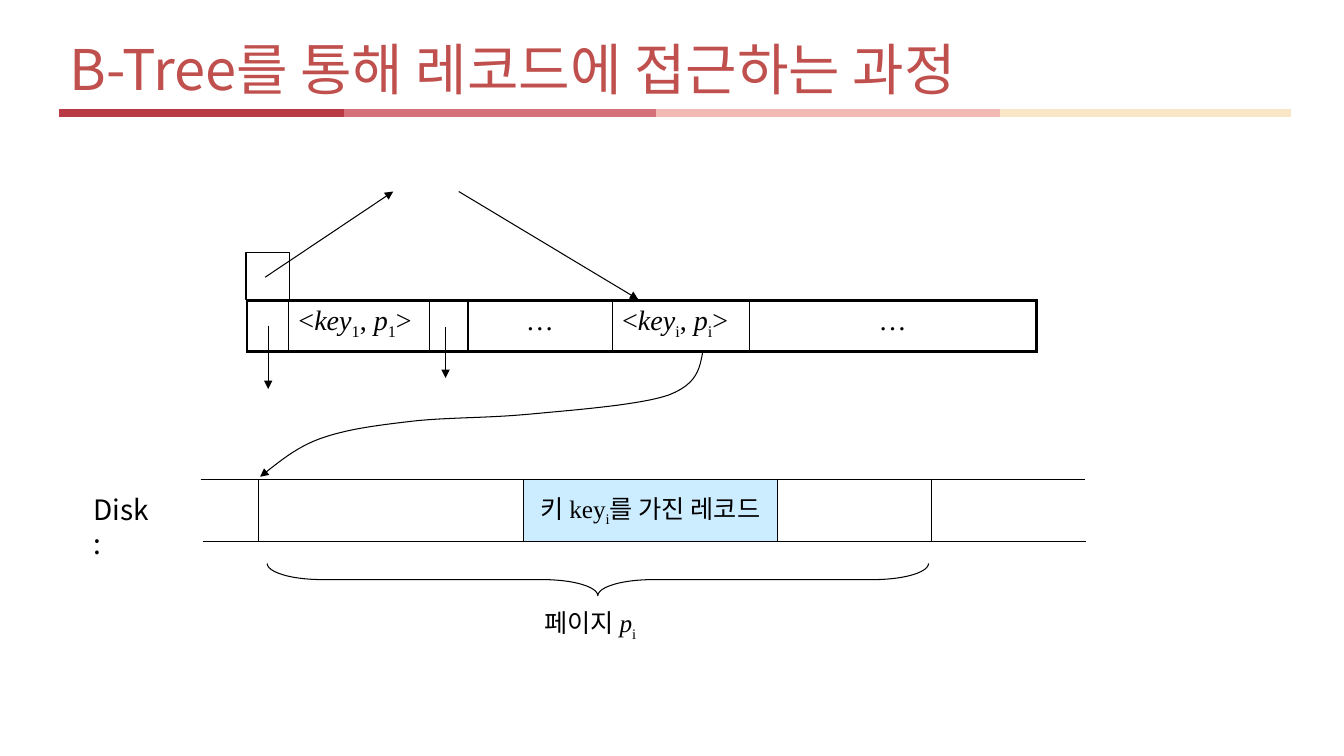
from pptx import Presentation
from pptx.dml.color import RGBColor
from pptx.enum.shapes import MSO_CONNECTOR, MSO_SHAPE
from pptx.enum.text import MSO_ANCHOR, PP_ALIGN
from pptx.oxml.ns import qn
from pptx.util import Inches, Pt
from lxml.etree import SubElement

COLORS = {
    "title": "C0504D", "ink": "000000", "record": "CCECFF",
    "bar1": "B93945", "bar2": "D37079", "bar3": "F2B8B4", "bar4": "F8E6C7",
}
SANS, SERIF = "Noto Sans CJK KR", "Times New Roman"


def write_text(para, size, spans, color="ink"):
    """Each span is (text, font, style); style is '', 'italic' or 'sub'."""
    for text, font_name, style in spans:
        span = para.add_run()
        span.text = text
        font = span.font
        font.size, font.name = Pt(size), font_name
        font.color.rgb = RGBColor.from_string(COLORS[color])
        font.italic = style == "italic"
        properties = span._r.get_or_add_rPr()
        SubElement(properties, qn("a:ea")).set("typeface", font_name)
        if style == "sub":
            properties.set("baseline", "-25000")


def add_line(x1, y1, x2, y2, color="ink", width=0.75, arrow=False):
    line = page.shapes.add_connector(
        MSO_CONNECTOR.STRAIGHT, Inches(x1), Inches(y1), Inches(x2), Inches(y2))
    line.line.color.rgb = RGBColor.from_string(COLORS[color])
    line.line.width = Pt(width)
    if arrow:
        SubElement(line.line._get_or_add_ln(), qn("a:tailEnd")).set("type", "triangle")
    SubElement(line._element.spPr, qn("a:effectLst"))


deck = Presentation()
deck.slide_width, deck.slide_height = Inches(13.33), Inches(7.5)
page = deck.slides.add_slide(deck.slide_layouts[5])

# Title and the coloured bar below it
title = page.shapes.title
title.left, title.top = Inches(0.59), Inches(0.32)
title.width, title.height = Inches(12.17), Inches(0.79)
title.text_frame.vertical_anchor = MSO_ANCHOR.MIDDLE
para = title.text_frame.paragraphs[0]
para.alignment, para.line_spacing = PP_ALIGN.LEFT, 0.9
write_text(para, 40, [("B-Tree를 통해 레코드에 접근하는 과정", SANS, "")], "title")
bar_edges = [0.59, 3.41, 6.51, 9.92, 12.8]
for number, (start, end) in enumerate(zip(bar_edges, bar_edges[1:]), 1):
    add_line(start, 1.12, end, 1.12, f"bar{number}", 6)

# Index node: a one-row table of keys and pointers
cell_spans = [[]] * 6
for column, index in ((1, "1"), (4, "i")):
    cell_spans[column] = [
        ("<", SERIF, ""), ("key", SERIF, "italic"), (index, SERIF, "sub"),
        (", ", SERIF, ""), ("p", SERIF, "italic"), (index, SERIF, "sub"),
        (">", SERIF, "")]
cell_spans[3] = cell_spans[5] = [("…", SERIF, "")]
column_widths = [0.41, 1.4, 0.38, 1.43, 1.36, 2.85]
divider_widths = [2.25, 0.75, 0.75, 2, 0.75, 0.75, 2.25]

node = page.shapes.add_table(
    1, 6, Inches(2.45), Inches(2.98), Inches(7.82), Inches(0.51)).table
node.first_row = node.horz_banding = False
for column, spans in enumerate(cell_spans):
    node.columns[column].width = Inches(column_widths[column])
    cell = node.cell(0, column)
    borders = {"L": divider_widths[column], "R": divider_widths[column + 1],
               "T": 2.25, "B": 2.25}
    for side, width in borders.items():
        border = SubElement(cell._tc.get_or_add_tcPr(), qn(f"a:ln{side}"))
        border.set("w", str(Pt(width)))
        fill = SubElement(border, qn("a:solidFill"))
        SubElement(fill, qn("a:srgbClr")).set("val", COLORS["ink"])
    cell.fill.background()
    para = cell.text_frame.paragraphs[0]
    if column in (3, 5):
        para.alignment = PP_ALIGN.CENTER
    write_text(para, 20, spans)

# Disk edges and pointer arrows
add_line(1.99, 4.76, 10.76, 4.76)
add_line(2.01, 5.37, 10.77, 5.37)
for ends in ((4.42, 3.24, 4.42, 3.75), (2.66, 3.23, 2.66, 3.86),
             (2.63, 2.75, 3.9, 1.9), (4.55, 1.9, 6.33, 2.97)):
    add_line(*ends, arrow=True)

# Parent pointer, disk page, record and page brace
outlines = []
for preset, left, top, width, height in (
        (MSO_SHAPE.RECTANGLE, 2.44, 2.51, 0.43, 0.46),
        (MSO_SHAPE.RECTANGLE, 2.56, 4.76, 6.68, 0.61),
        (MSO_SHAPE.RECTANGLE, 5.19, 4.76, 2.52, 0.61),
        (MSO_SHAPE.LEFT_BRACE, 5.77, 2.47, 0.32, 6.56)):
    outlines.append(page.shapes.add_shape(
        preset, Inches(left), Inches(top), Inches(width), Inches(height)))
parent_box, disk_page, record, brace = outlines
brace.rotation = 270
brace.adjustments[0], brace.adjustments[1] = 1.71, 0.5

# Curve from the key's pointer to the disk page, as cubic arcs
arcs = [
    ((6.97, 3.49), (6.94, 3.65), (6.92, 3.81), (6.63, 3.92)),
    ((6.63, 3.92), (6.34, 4.02), (5.66, 4.07), (5.24, 4.11)),
    ((5.24, 4.11), (4.81, 4.15), (4.42, 4.14), (4.08, 4.18)),
    ((4.08, 4.18), (3.73, 4.22), (3.43, 4.26), (3.18, 4.35)),
    ((3.18, 4.35), (2.93, 4.44), (2.76, 4.59), (2.58, 4.73)),
]
steps = 12
curve_points = [tuple(Inches(value) for value in arcs[0][0])]
for arc in arcs:
    for step in range(1, steps + 1):
        t = step / steps
        weights = ((1 - t) ** 3, 3 * t * (1 - t) ** 2, 3 * t * t * (1 - t), t ** 3)
        curve_points.append(tuple(
            Inches(sum(weight * point[axis] for weight, point in zip(weights, arc)))
            for axis in (0, 1)))
builder = page.shapes.build_freeform(*curve_points[0])
builder.add_line_segments(curve_points[1:], close=False)
pointer_curve = builder.convert_to_shape()

for shape in outlines + [pointer_curve]:
    shape.shadow.inherit = False
    shape.fill.background()
    shape.line.color.rgb = RGBColor.from_string(COLORS["ink"])
    shape.line.width = Pt(0.75)
SubElement(pointer_curve.line._get_or_add_ln(), qn("a:tailEnd")).set("type", "triangle")

# Record text
record.fill.solid()
record.fill.fore_color.rgb = RGBColor.from_string(COLORS["record"])
record.text_frame.word_wrap = False
record.text_frame.vertical_anchor = MSO_ANCHOR.MIDDLE
para = record.text_frame.paragraphs[0]
para.alignment = PP_ALIGN.CENTER
write_text(para, 18, [("키 ", SANS, ""), ("key", SERIF, ""), ("i", SERIF, "sub"),
                      ("를 가진 레코드", SANS, "")])

# Labels
page_spans = [("페이지 ", SANS, ""), ("p", SERIF, "italic"), ("i", SERIF, "sub")]
for left, top, width, height, size, wrap, spans in (
        (5.3, 5.98, 1.21, 0.4, 18, False, page_spans),
        (0.83, 4.84, 0.8, 0.44, 20, True, [("Disk:", SANS, "")])):
    box = page.shapes.add_textbox(
        Inches(left), Inches(top), Inches(width), Inches(height))
    box.text_frame.word_wrap = wrap
    write_text(box.text_frame.paragraphs[0], size, spans)

deck.save("out.pptx")
